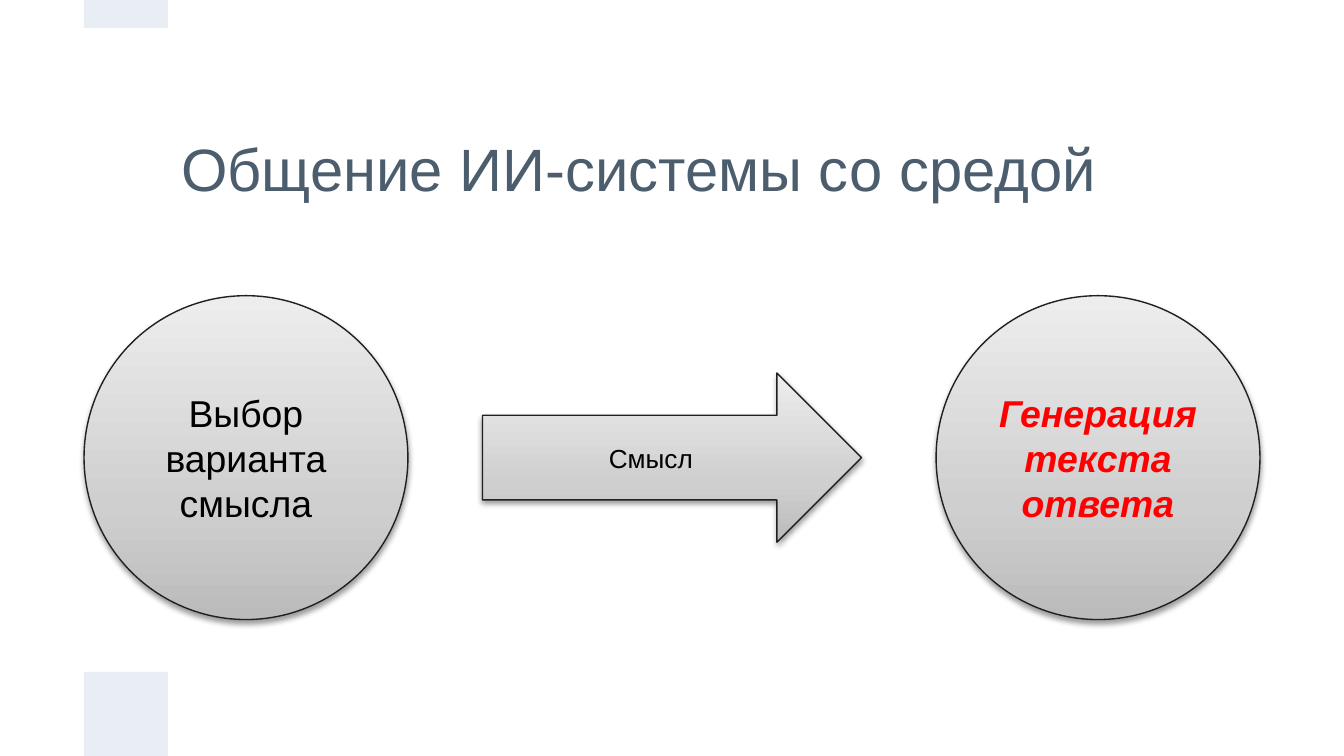
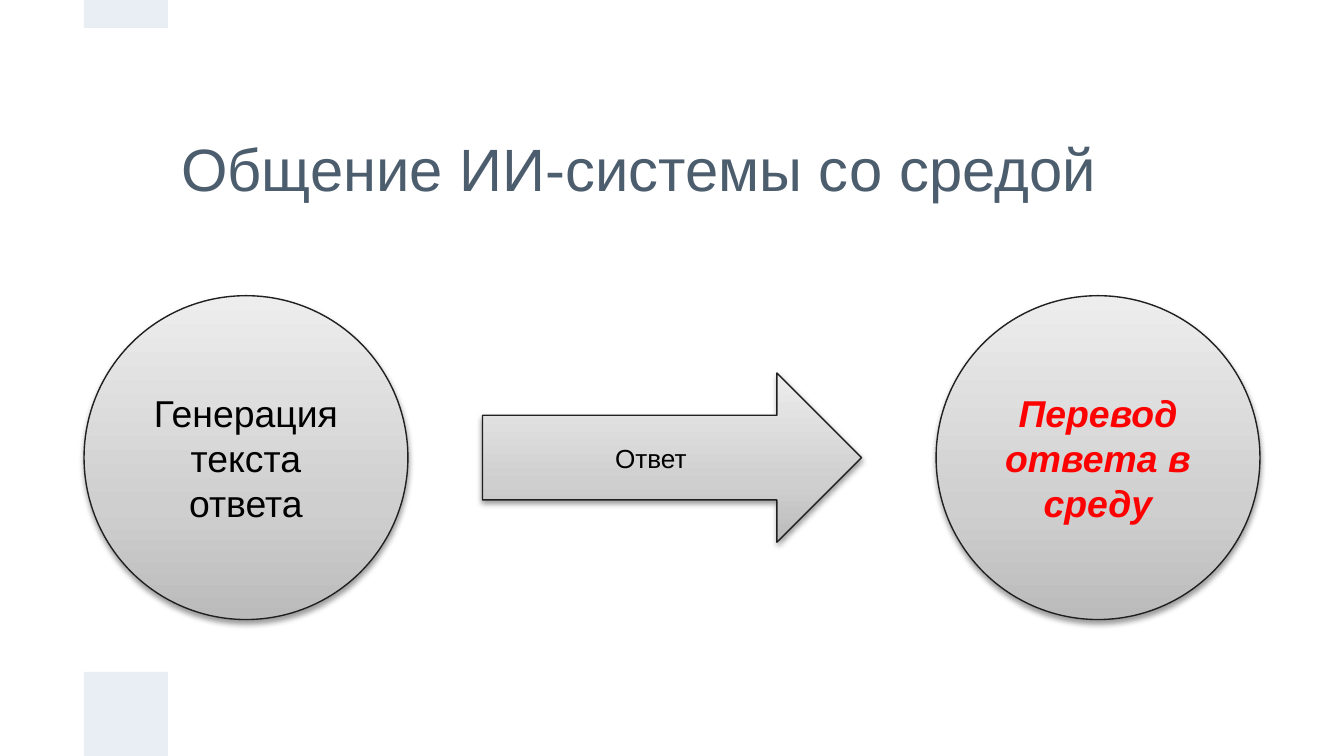
"""Builds two slides on how an AI system communicates with its environment."""
from copy import deepcopy
from dataclasses import dataclass

from lxml import etree
from pptx import Presentation
from pptx.dml.color import RGBColor
from pptx.enum.shapes import MSO_SHAPE
from pptx.enum.text import MSO_ANCHOR, PP_ALIGN
from pptx.oxml.ns import qn
from pptx.util import Inches, Pt

RECTANGLE = MSO_SHAPE.RECTANGLE
OVAL = MSO_SHAPE.OVAL
RIGHT_ARROW = MSO_SHAPE.RIGHT_ARROW
MIDDLE = MSO_ANCHOR.MIDDLE
LEFT = PP_ALIGN.LEFT
CENTER = PP_ALIGN.CENTER


@dataclass(frozen=True)
class Theme:
    font: str = "Arial"
    title: str = "4C5D6E"
    band: str = "E9EDF4"
    outline: str = "202020"
    text: str = "000000"
    accent: str = "FF0000"
    gradient: tuple = ((0, "BBBBBB"), (0.35, "CFCFCF"), (1, "EDEDED"))
    title_size: int = 32
    stage_size: int = 20
    arrow_size: int = 14


THEME = Theme()
TITLE = "Общение ИИ-системы со средой"
WIDTH = 10
HEIGHT = WIDTH * 9 / 16
UNIT = WIDTH / 16
CIRCLE = 2.41
CIRCLE_TOP = 2.2
CIRCLE_RIGHT = WIDTH - UNIT - CIRCLE
ARROW_WIDTH, ARROW_HEIGHT = 2.82, 1.26
ARROW_LEFT = (WIDTH - ARROW_WIDTH) / 2
ARROW_TOP = CIRCLE_TOP + (CIRCLE - ARROW_HEIGHT) / 2
BANDS = ((HEIGHT - UNIT, UNIT), (0, UNIT / 3))
STEPS = (
    ("Выбор варианта смысла", "Смысл", "Генерация текста ответа"),
    ("Генерация текста ответа", "Ответ", "Перевод ответа в среду"),
)


def write(box, text, size, color, align, strong=None):
    frame = box.text_frame
    frame.word_wrap = True
    frame.vertical_anchor = MIDDLE
    para = frame.paragraphs[0]
    para.alignment = align
    span = para.add_run()
    span.text = text
    span.font.name = THEME.font
    span.font.size = Pt(size)
    span.font.color.rgb = RGBColor.from_string(color)
    span.font.bold = span.font.italic = strong


def add_figure(page, kind, left, top, width, height):
    figure = page.shapes.add_shape(
        kind, Inches(left), Inches(top), Inches(width), Inches(height))
    figure.fill.gradient()
    figure.fill.gradient_angle = 90
    properties = figure._element.spPr
    stop_list = properties.find(".//" + qn("a:gsLst"))
    stop_list.append(deepcopy(stop_list[0]))
    for stop, (position, color) in zip(figure.fill.gradient_stops, THEME.gradient):
        stop.position = position
        stop.color.rgb = RGBColor.from_string(color)
    figure.line.color.rgb = RGBColor.from_string(THEME.outline)
    figure.line.width = Pt(0.75)
    figure.shadow.inherit = False
    shadow = etree.SubElement(
        properties.find(qn("a:effectLst")), qn("a:outerShdw"),
        blurRad="40000", dist="20000", dir="5400000", rotWithShape="0")
    shade = etree.SubElement(shadow, qn("a:srgbClr"), val="000000")
    etree.SubElement(shade, qn("a:alpha"), val="38000")
    return figure


deck = Presentation()
deck.slide_width = Inches(WIDTH)
deck.slide_height = Inches(HEIGHT)

for source, message, target in STEPS:
    page = deck.slides.add_slide(deck.slide_layouts[6])

    heading = page.shapes.add_textbox(
        Inches(2 * UNIT), Inches(UNIT), Inches(12 * UNIT), Inches(2 * UNIT))
    frame = heading.text_frame
    frame.margin_left = frame.margin_right = Inches(0.1)
    frame.margin_top = frame.margin_bottom = Inches(0.1)
    write(heading, TITLE, THEME.title_size, THEME.title, LEFT)

    for top, height in BANDS:
        band = page.shapes.add_shape(
            RECTANGLE, Inches(UNIT), Inches(top), Inches(UNIT), Inches(height))
        band.fill.solid()
        band.fill.fore_color.rgb = RGBColor.from_string(THEME.band)
        band.line.fill.background()
        band.shadow.inherit = False

    start = add_figure(page, OVAL, UNIT, CIRCLE_TOP, CIRCLE, CIRCLE)
    write(start, source, THEME.stage_size, THEME.text, CENTER)
    arrow = add_figure(
        page, RIGHT_ARROW, ARROW_LEFT, ARROW_TOP, ARROW_WIDTH, ARROW_HEIGHT)
    write(arrow, message, THEME.arrow_size, THEME.text, CENTER)
    finish = add_figure(page, OVAL, CIRCLE_RIGHT, CIRCLE_TOP, CIRCLE, CIRCLE)
    write(finish, target, THEME.stage_size, THEME.accent, CENTER, strong=True)

deck.save("out.pptx")
